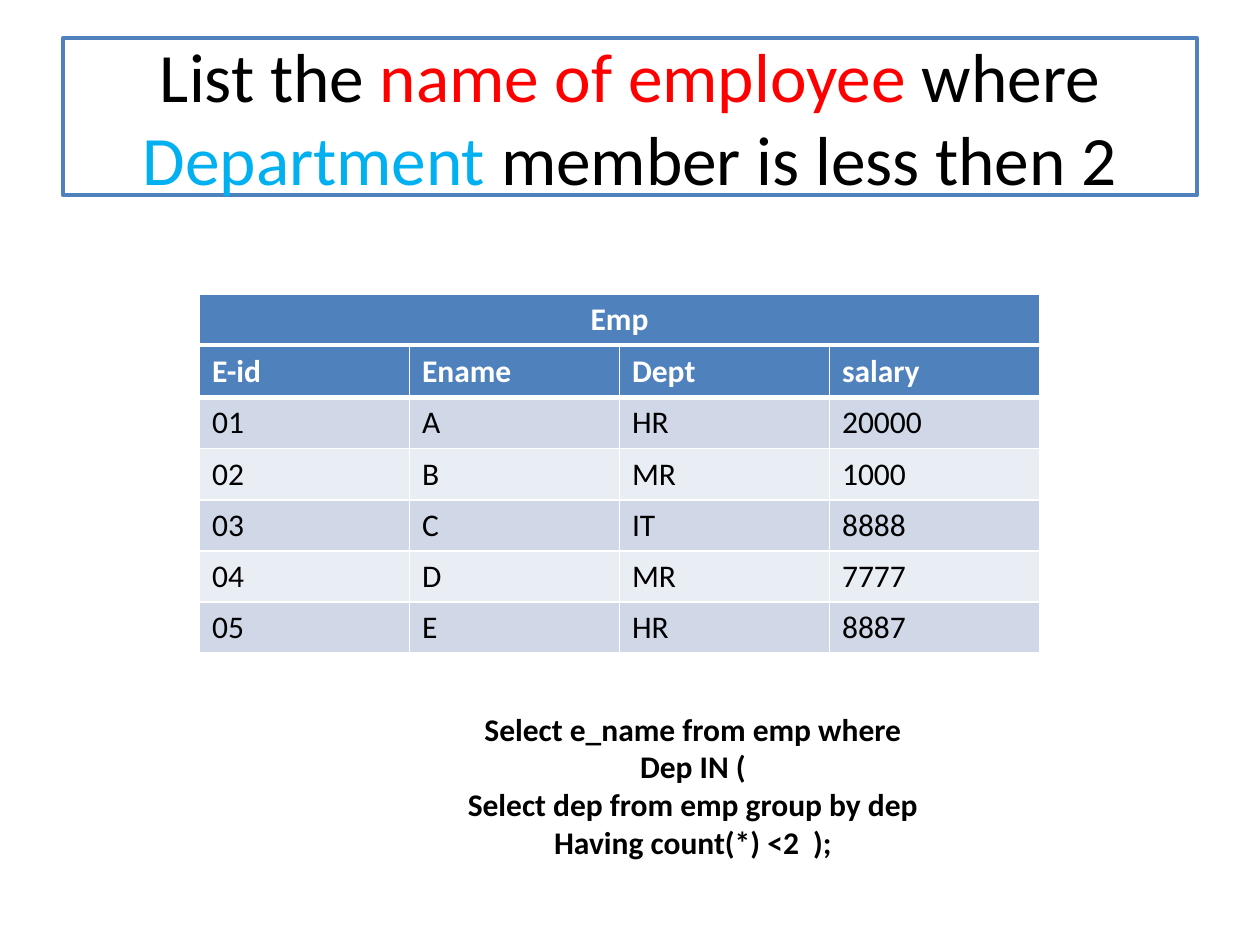
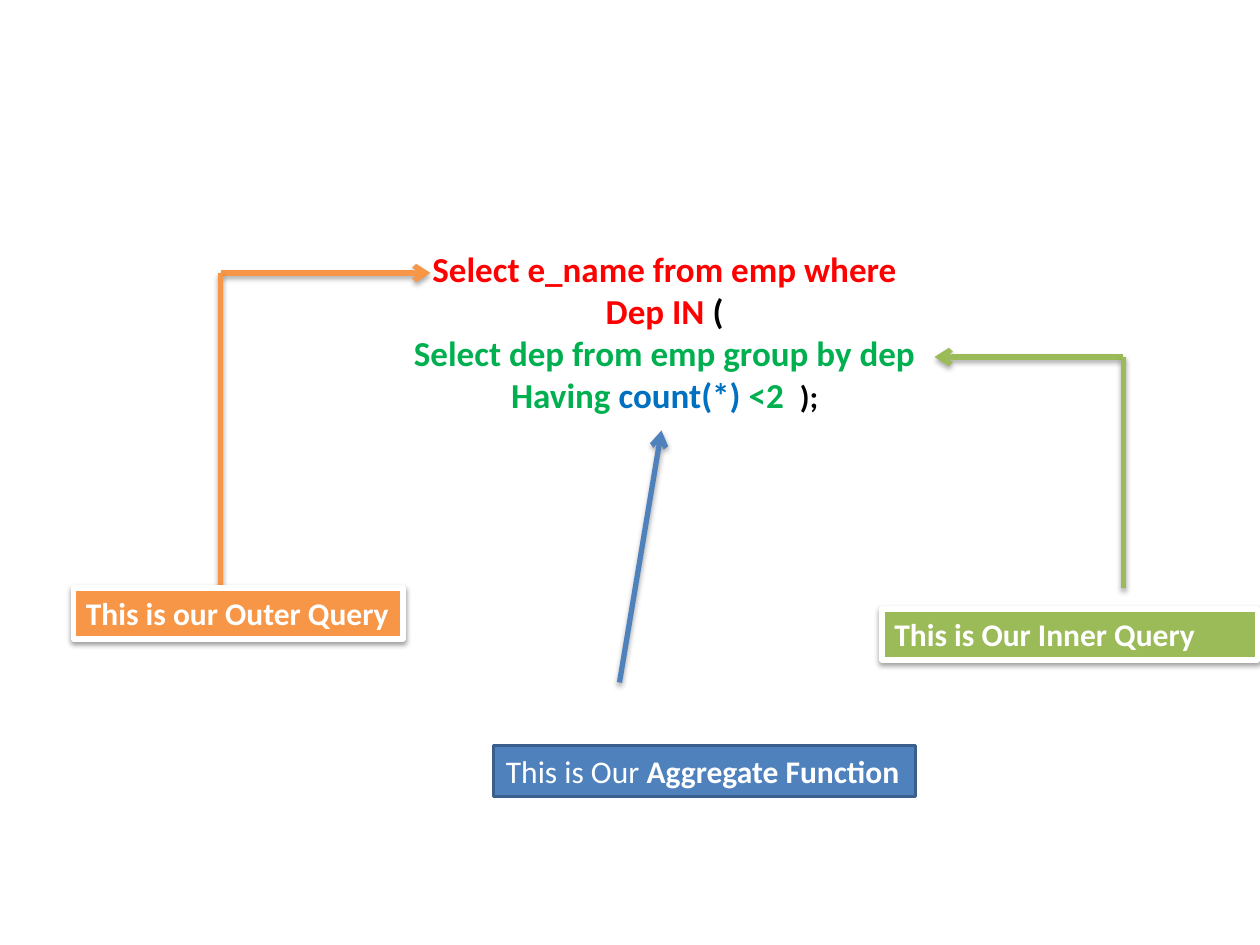
"""Build two slides that explain a nested SQL query on an employee table."""
import pptx
import pptx.util
import pptx.dml.color
import pptx.enum.shapes
import pptx.enum.text
import pptx.oxml
import pptx.oxml.ns

COLORS = {
    "white": "FFFFFF", "black": "000000", "red": "FF0000", "sky": "00B0F0",
    "green": "00B050", "blue": "0070C0", "accent": "4F81BD", "edge": "3A5F8C",
    "orange": "F79646", "olive": "9BBB59", "band_dark": "D0D8E8", "band_light": "E9EDF4",
}
FONT = "Calibri"
WIDTH, HEIGHT = pptx.util.Inches(10), pptx.util.Inches(7.5)
COLS, ROWS = 120, 90
LABEL_ROWS = 4.85
TABLE_LEFT, TABLE_COLS, TABLE_ROW = 19, 80, 4.87
ALIGN = pptx.enum.text.PP_ALIGN
EMP = [
    ["E-id", "Ename", "Dept", "salary"],
    ["01", "A", "HR", "20000"],
    ["02", "B", "MR", "1000"],
    ["03", "C", "IT", "8888"],
    ["04", "D", "MR", "7777"],
    ["05", "E", "HR", "8887"],
]


def rgb(name):
    """Return the named colour."""
    return pptx.dml.color.RGBColor.from_string(COLORS[name])


def grid(x, y):
    """Turn a column and a row of the grid into slide lengths."""
    return round(WIDTH * x / COLS), round(HEIGHT * y / ROWS)


def parse(tag, attrs, inner=""):
    """Make a drawing element."""
    ns = pptx.oxml.ns.nsdecls("a")
    return pptx.oxml.parse_xml(f"<a:{tag} {ns} {attrs}>{inner}</a:{tag}>")


def solid(name):
    """Return the markup of a solid fill."""
    return f'<a:solidFill><a:srgbClr val="{COLORS[name]}"/></a:solidFill>'


def add_runs(p, runs, size, align=ALIGN.LEFT):
    """Fill a paragraph with (text, colour, bold) runs; a run may end with its own size."""
    p.alignment = align
    for text, color, bold, *own in runs:
        r = p.add_run()
        r.text = text
        r.font.name = FONT
        r.font.size = pptx.util.Pt(own[0] if own else size)
        r.font.bold = bold
        r.font.color.rgb = rgb(color)


def add_effects(sp, distance=None):
    """Give a shape or connector a soft shadow below it, or none."""
    effects = parse("effectLst", "")
    if distance:
        alpha = 35 if distance > 1.7 else 38
        color = f'<a:srgbClr val="000000"><a:alpha val="{alpha * 1000}"/></a:srgbClr>'
        effects.append(parse(
            "outerShdw",
            f'blurRad="{pptx.util.Pt(3.1)}" dist="{pptx.util.Pt(distance)}" '
            'dir="5400000" rotWithShape="0"', color))
    sp._element.spPr.append(effects)


def add_box(s, x, y, w, h, fill, line, weight, shadow=None):
    """Add an outlined rectangle and return its text frame."""
    sp = s.shapes.add_shape(
        pptx.enum.shapes.MSO_SHAPE.RECTANGLE, *grid(x, y), *grid(w, h))
    sp.fill.solid()
    sp.fill.fore_color.rgb = rgb(fill)
    sp.line.color.rgb = rgb(line)
    sp.line.width = pptx.util.Pt(weight)
    add_effects(sp, shadow)
    return sp.text_frame


def add_title(s, runs):
    """Add the framed title."""
    tf = add_box(s, 6, 3.6, 108, 15, "white", "accent", 2)
    tf.word_wrap = True
    tf.vertical_anchor = pptx.enum.text.MSO_ANCHOR.MIDDLE
    add_runs(tf.paragraphs[0], runs, 39.6, ALIGN.CENTER)


def add_label(s, x, y, w, fill, runs, line="white", weight=3, shadow=1.6, wrap=False):
    """Add a coloured label."""
    tf = add_box(s, x, y, w, LABEL_ROWS, fill, line, weight, shadow)
    tf.word_wrap = wrap
    tf.auto_size = pptx.enum.text.MSO_AUTO_SIZE.SHAPE_TO_FIT_TEXT
    tf.vertical_anchor = pptx.enum.text.MSO_ANCHOR.TOP
    add_runs(tf.paragraphs[0], runs, 18)


def add_query(s, x, y, w, h, lines, size):
    """Add a centred query, one paragraph a line."""
    tf = s.shapes.add_textbox(*grid(x, y), *grid(w, h)).text_frame
    tf.word_wrap = True
    tf.auto_size = pptx.enum.text.MSO_AUTO_SIZE.SHAPE_TO_FIT_TEXT
    for i, runs in enumerate(lines):
        p = tf.add_paragraph() if i else tf.paragraphs[0]
        add_runs(p, runs, size, ALIGN.CENTER)


def add_line(s, start, end, color, arrow=False):
    """Add a shadowed straight line, with an arrowhead at its end if asked."""
    c = s.shapes.add_connector(
        pptx.enum.shapes.MSO_CONNECTOR.STRAIGHT, *grid(*start), *grid(*end))
    c.line.color.rgb = rgb(color)
    c.line.width = pptx.util.Pt(3)
    if arrow:
        c.line._get_or_add_ln().append(parse("tailEnd", 'type="arrow"'))
    add_effects(c, 1.8)


def add_elbow(s, foot, corner, tip, color):
    """Add an arrow to the tip and the upright line below its corner."""
    add_line(s, corner, tip, color, arrow=True)
    add_line(s, corner, foot, color)


def style_cell(cell, text, fill, header, first, align):
    """Fill, border and write one table cell."""
    weights = {"lnL": 1, "lnR": 1, "lnT": 1, "lnB": 3 if header else 1}
    if not first:
        del weights["lnT"]
    for side, weight in weights.items():
        cell._tc.get_or_add_tcPr().append(
            parse(side, f'w="{pptx.util.Pt(weight)}"', solid("white")))
    cell.fill.solid()
    cell.fill.fore_color.rgb = rgb(fill)
    color = "white" if header else "black"
    add_runs(cell.text_frame.paragraphs[0], [(text, color, header)], 18, align)


def add_grid_table(s, y, rows, align=ALIGN.LEFT):
    """Add a table with a header row and banded body rows."""
    count, columns = len(rows), len(rows[0])
    table = s.shapes.add_table(
        count, columns, *grid(TABLE_LEFT, y), *grid(TABLE_COLS, TABLE_ROW * count)).table
    for i, row in enumerate(rows):
        fill = "accent" if i == 0 else ("band_light", "band_dark")[i % 2]
        for j, text in enumerate(row):
            style_cell(table.cell(i, j), text, fill, i == 0, i == 0, align)


def build_question(prs):
    """Add the slide with the question, the table and the query."""
    s = prs.slides.add_slide(prs.slide_layouts[6])
    add_title(s, [
        ("List the ", "black", False), ("name of employee ", "red", False),
        ("where ", "black", False), ("Department", "sky", False),
        (" member is less then 2", "black", False)])
    add_grid_table(s, 33, EMP)
    add_grid_table(s, 28, [["Emp"]], ALIGN.CENTER)
    lines = ["Select e_name from emp where", "Dep IN (",
             "Select dep from emp group by dep", "Having count(*) <2  );"]
    add_query(s, 32, 67, 68, 15.75, [[(text, "black", True)] for text in lines], 18)


def build_explanation(prs):
    """Add the slide that names the parts of the query."""
    s = prs.slides.add_slide(prs.slide_layouts[6])
    add_query(s, 25.5, 23, 75.6, 21, [
        [("Select e_name from emp where", "red", True)],
        [("Dep IN ", "red", True), ("(", "black", True)],
        [("Select dep from emp group by dep", "green", True)],
        [("Having ", "green", True), ("count(*) ", "blue", True),
         ("<2  ", "green", True), (");", "black", True, 18)],
    ], 20)
    add_elbow(s, (21, 56), (21, 26), (41, 26), "orange")
    add_label(s, 7, 56, 31.4, "orange", [("This is our Outer Query", "white", True)])
    add_elbow(s, (107, 56), (107, 34), (89, 34), "olive")
    add_label(s, 84, 58, 35.8, "olive", [("This is Our Inner Query", "white", True)], wrap=True)
    add_line(s, (59, 65), (63, 41), "accent", arrow=True)
    add_label(s, 47, 71, 40.2, "accent", [
        ("This is Our ", "white", False), ("Aggregate Function", "white", True)],
        line="edge", weight=2, shadow=None)


def main():
    """Build and save the presentation."""
    prs = pptx.Presentation()
    prs.slide_width, prs.slide_height = WIDTH, HEIGHT
    build_question(prs)
    build_explanation(prs)
    prs.save("out.pptx")


if __name__ == "__main__":
    main()
